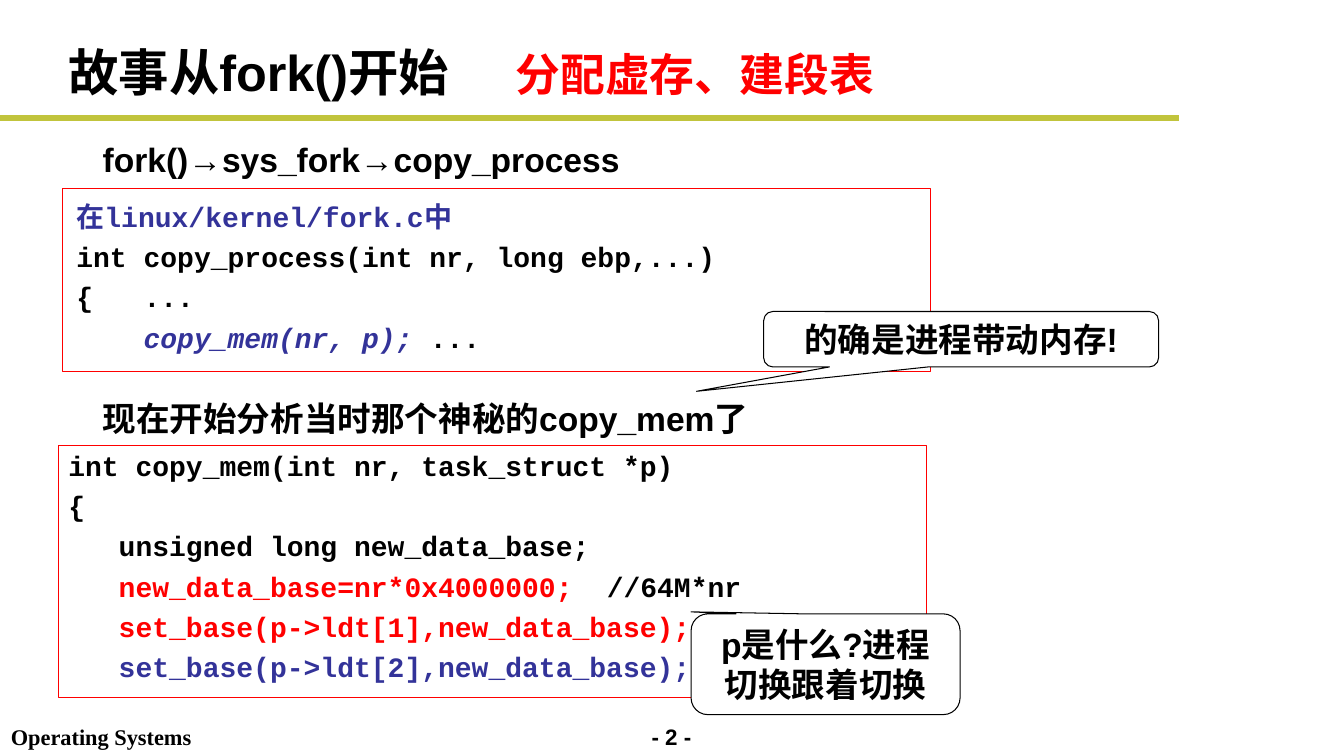
from lxml import etree
from pptx import Presentation
from pptx.dml.color import RGBColor
from pptx.enum.shapes import MSO_CONNECTOR, MSO_SHAPE
from pptx.enum.text import MSO_ANCHOR, PP_ALIGN
from pptx.oxml.ns import qn
from pptx.util import Inches, Pt

RECT, CALLOUT = MSO_SHAPE.RECTANGLE, MSO_SHAPE.ROUNDED_RECTANGULAR_CALLOUT
STRAIGHT = MSO_CONNECTOR.STRAIGHT
LEFT, CENTER = PP_ALIGN.LEFT, PP_ALIGN.CENTER
TOP, MIDDLE = MSO_ANCHOR.TOP, MSO_ANCHOR.MIDDLE

BLACK = RGBColor(0x00, 0x00, 0x00)
WHITE = RGBColor(0xFF, 0xFF, 0xFF)
RED = RGBColor(0xFF, 0x00, 0x00)
NAVY = RGBColor(0x33, 0x33, 0x99)
OLIVE = RGBColor(0xC1, 0xC4, 0x3C)

# Content: each paragraph is a list of (text, color, italic) runs
TITLE = [[("故事从fork()开始", BLACK, False)]]
SUBTITLE = [[("分配虚存、建段表", RED, False)]]
HEADINGS = [
    (1.17, [[("fork()→sys_fork→copy_process", BLACK, False)]]),
    (3.74, [[("现在开始分析当时那个神秘的copy_mem了", BLACK, False)]]),
]
COPY_PROCESS = [
    [("在linux/kernel/fork.c中", NAVY, False)],
    [("int copy_process(int nr, long ebp,...)", BLACK, False)],
    [("{   ...", BLACK, False)],
    [("    copy_mem(nr, p); ", NAVY, True), ("...", BLACK, False)],
]
COPY_MEM = [
    [("int copy_mem(int nr, task_struct *p)", BLACK, False)],
    [("{", BLACK, False)],
    [("   unsigned long new_data_base;", BLACK, False)],
    [("   new_data_base=nr*0x4000000;", RED, False), ("  //64M*nr", BLACK, False)],
    [("   set_base(p->ldt[1],new_data_base);", RED, False)],
    [("   set_base(p->ldt[2],new_data_base);", NAVY, False)],
]
# (frame box, text box, code lines)
CODE = [
    ((0.62, 1.87, 8.62, 1.82), (0.66, 1.86, 8.08, 1.7), COPY_PROCESS),
    ((0.58, 4.42, 8.62, 2.5), (0.58, 4.33, 8.58, 2.5), COPY_MEM),
]
# (box, pointer tip relative to the centre, text)
CALLOUTS = [
    ((7.58, 3.09, 3.92, 0.55), (-0.666, 0.943), "的确是进程带动内存!"),
    ((6.86, 6.09, 2.67, 1.0), (-0.497, -0.522), "p是什么?进程切换跟着切换"),
]
FOOTER = [[("Operating Systems", BLACK, False)]]
PAGE = [[("- 2 -", BLACK, False)]]

CODE_STYLE = {"size": Pt(20), "name": "Courier New", "bold": True}
HEADING_STYLE = {"size": Pt(24), "name": "Arial", "bold": True}
TITLE_STYLE = {"size": Pt(36), "name": "Arial", "bold": True}
SUBTITLE_STYLE = {"size": Pt(32), "name": "Arial", "bold": True}
PAGE_STYLE = {"size": Pt(16), "name": "Arial", "bold": True}
FOOTER_STYLE = {"size": Pt(16), "name": "Times New Roman", "bold": True}

prs = Presentation()
prs.slide_width, prs.slide_height = Inches(13.34), Inches(7.5)
s = prs.slides.add_slide(prs.slide_layouts[6])


def write(sp, paragraphs, style, align=LEFT, anchor=TOP, spacing=1.0, wrap=True):
    tf = sp.text_frame
    tf.word_wrap, tf.vertical_anchor = wrap, anchor
    for i, runs in enumerate(paragraphs):
        p = tf.add_paragraph() if i else tf.paragraphs[0]
        p.alignment, p.line_spacing = align, spacing
        for text, color, italic in runs:
            r = p.add_run()
            r.text = text
            for key, value in style.items():
                setattr(r.font, key, value)
            r.font.color.rgb, r.font.italic = color, italic


def add_text(box, paragraphs, style, **layout):
    write(s.shapes.add_textbox(*map(Inches, box)), paragraphs, style, **layout)


def add_box(kind, box, line_color):
    sp = s.shapes.add_shape(kind, *map(Inches, box))
    sp.shadow.inherit = False
    sp.fill.solid()
    sp.fill.fore_color.rgb = WHITE
    sp.line.color.rgb, sp.line.width = line_color, Pt(0.75)
    return sp


# Footer and title rule
add_text((6, 7.13, 1.33, 0.37), PAGE, PAGE_STYLE, align=CENTER)
add_text((0.01, 7.13, 1.99, 0.37), FOOTER, FOOTER_STYLE, wrap=False)
rule = s.shapes.add_connector(STRAIGHT, 0, Inches(1.17), Inches(11.7), Inches(1.17))
rule.line.color.rgb, rule.line.width = OLIVE, Pt(4)
etree.SubElement(rule._element.spPr, qn("a:effectLst"))

# Title and headings
add_text((0.58, 0.34, 9, 0.74), TITLE, TITLE_STYLE, anchor=MIDDLE)
add_text((5.02, 0.41, 3.76, 0.64), SUBTITLE, SUBTITLE_STYLE, wrap=False)
for top, heading in HEADINGS:
    add_text((0.92, top, 8.25, 0.66), heading, HEADING_STYLE, spacing=1.4)

# Code blocks
for frame, box, lines in CODE:
    add_box(RECT, frame, RED)
    add_text(box, lines, CODE_STYLE, spacing=1.2)

# Callouts
for box, tip, text in CALLOUTS:
    sp = add_box(CALLOUT, box, BLACK)
    sp.adjustments[0], sp.adjustments[1] = (round(t, 2) for t in tip)
    write(sp, [[(text, BLACK, False)]], HEADING_STYLE, align=CENTER, anchor=MIDDLE)

prs.save("out.pptx")
